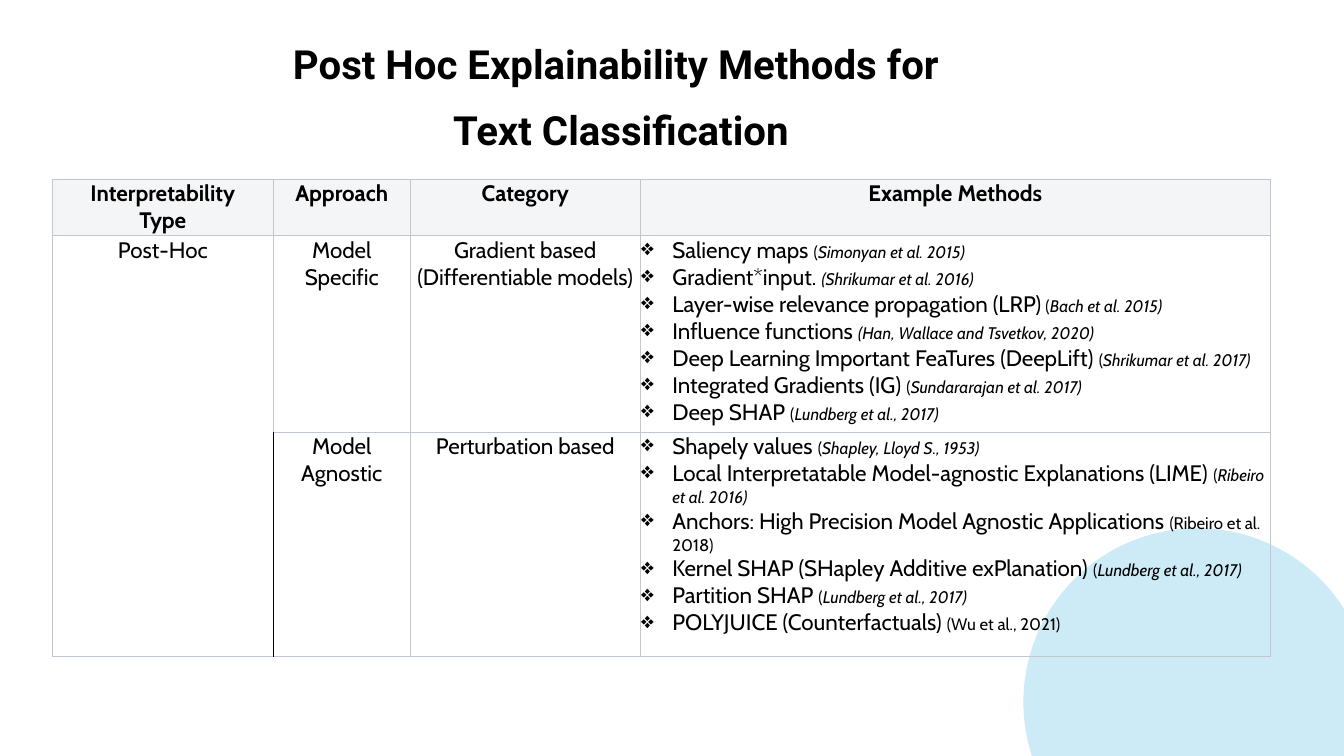
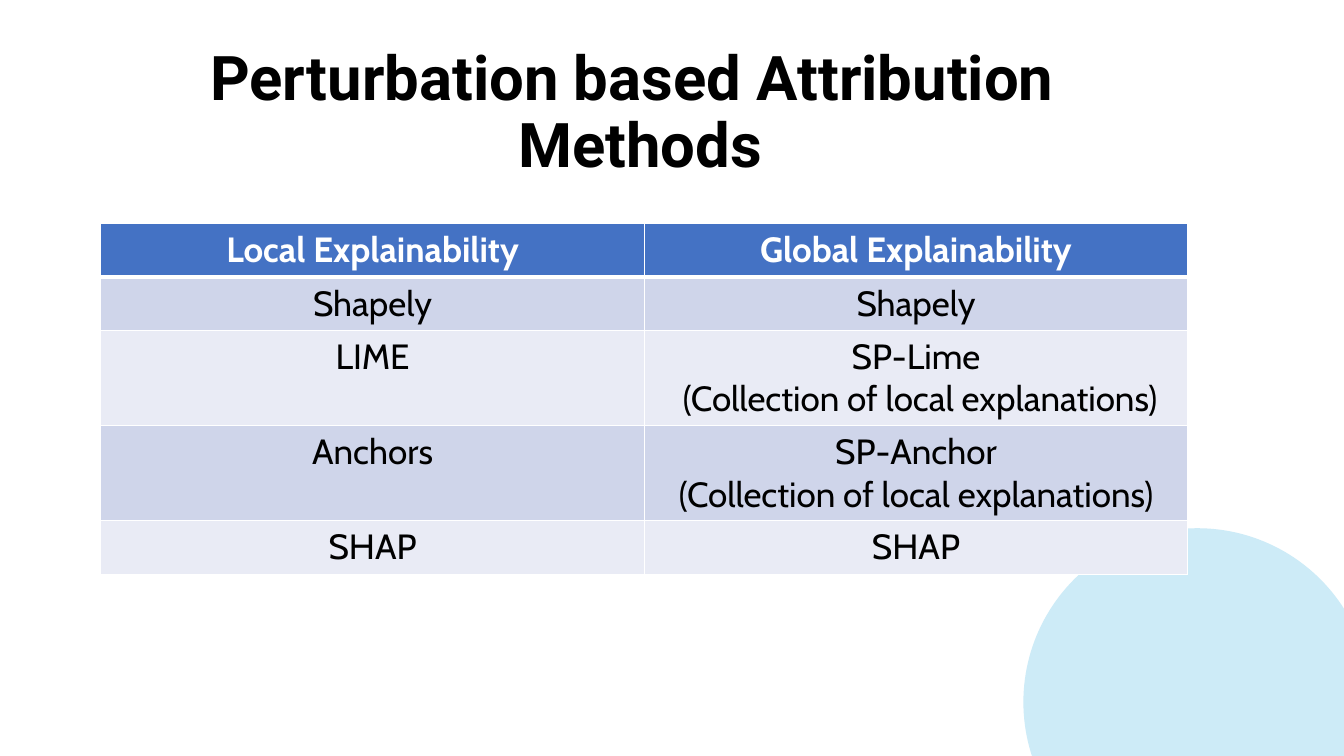
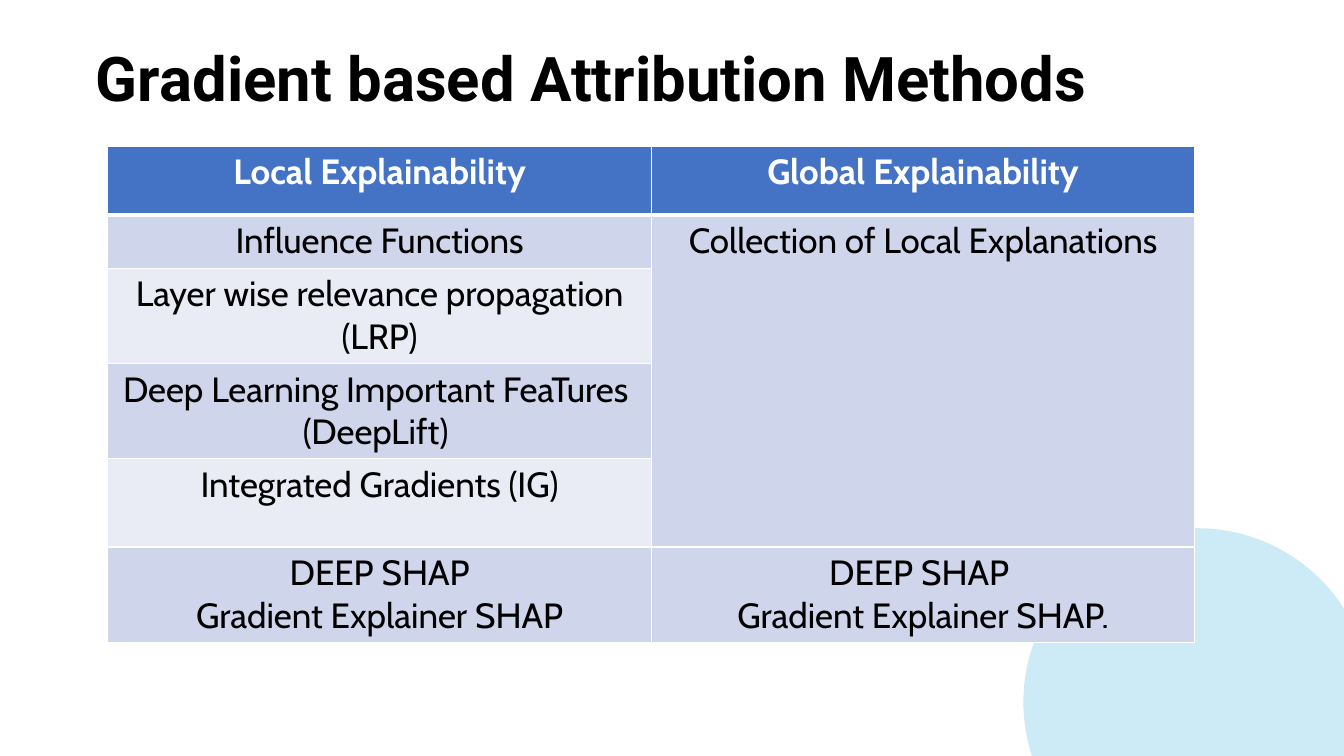
from dataclasses import dataclass

from lxml.etree import SubElement
from pptx import Presentation
from pptx.dml.color import RGBColor
from pptx.enum.shapes import MSO_SHAPE
from pptx.enum.text import MSO_ANCHOR, MSO_AUTO_SIZE, PP_ALIGN
from pptx.oxml.ns import qn
from pptx.util import Inches, Pt

COLORS = {
    "text": "000000",
    "white": "FFFFFF",
    "circle": "CDEBF7",
    "grid": "C1C7D0",
    "grid_header": "F4F5F7",
    "header": "4472C4",
    "band_dark": "CFD5EA",
    "band_light": "E9EBF5",
}
TITLE_FONT = "Roboto"
BODY_FONT = "Cabin"
BULLET = "❖"


@dataclass(frozen=True)
class Area:
    left: float
    top: float
    width: float
    height: float


@dataclass(frozen=True)
class Method:
    name: str
    upright: str = ""
    italic: str = ""


@dataclass(frozen=True)
class Comparison:
    title: str
    title_area: Area
    left: float
    top: float
    heights: tuple[float, ...]
    rows: tuple[tuple[str, str], ...]
    merged_rows: tuple[int, int] | None = None


METHOD_HEADERS = ("Interpretability\nType", "Approach", "Category", "Example Methods")
APPROACHES = (
    (
        "Post-Hoc",
        "Model Specific",
        "Gradient based\n(Differentiable models)",
        (
            Method("Saliency maps ", "(", "Simonyan et al. 2015)"),
            Method("Gradient*input. ", italic="(Shrikumar et al. 2016)"),
            Method("Layer-wise relevance propagation (LRP)", " (", "Bach et al. 2015)"),
            Method("Influence functions ", italic="(Han, Wallace and Tsvetkov, 2020)"),
            Method("Deep Learning Important FeaTures (DeepLift) ", "(", "Shrikumar et al. 2017)"),
            Method("Integrated Gradients (IG) ", "(", "Sundararajan et al. 2017)"),
            Method("Deep SHAP ", "(", "Lundberg et al., 2017)"),
        ),
    ),
    (
        "",
        "Model Agnostic",
        "Perturbation based",
        (
            Method("Shapely values ", "(", "Shapley, Lloyd S., 1953)"),
            Method("Local Interpretatable Model-agnostic Explanations (LIME) ", "(", "Ribeiro et al. 2016)"),
            Method("Anchors: High Precision Model Agnostic Applications ", "(Ribeiro et al. 2018)"),
            Method("Kernel SHAP (SHapley Additive exPlanation) ", "(", "Lundberg et al., 2017)"),
            Method("Partition SHAP ", "(", "Lundberg et al., 2017)"),
            Method("POLYJUICE (Counterfactuals) ", "(Wu et al., 2021)"),
        ),
    ),
)
COMPARISON_HEADERS = ("Local Explainability", "Global Explainability")
COMPARISONS = (
    Comparison(
        "Perturbation based Attribution \vMethods",
        Area(0.6, 0.42, 11.5, 1.4),
        1,
        2.22,
        (0.53, 0.53, 0.94, 0.94, 0.53),
        (
            ("Shapely", "Shapely"),
            ("LIME", "SP-Lime\n (Collection of local explanations)"),
            ("Anchors", "SP-Anchor\n(Collection of local explanations)"),
            ("SHAP", "SHAP"),
        ),
    ),
    Comparison(
        "Gradient based Attribution Methods",
        Area(0.6, 0.43, 10.54, 0.86),
        1.07,
        1.45,
        (0.68, 0.53, 0.94, 0.94, 0.88, 0.94),
        (
            ("Influence Functions", "Collection of Local Explanations"),
            ("Layer wise relevance propagation\n(LRP)", ""),
            ("Deep Learning Important FeaTures \n(DeepLift) ", ""),
            ("Integrated Gradients (IG)", ""),
            ("DEEP SHAP\nGradient Explainer SHAP", "DEEP SHAP \nGradient Explainer SHAP."),
        ),
        merged_rows=(1, 4),
    ),
)


def rgb(name: str) -> RGBColor:
    return RGBColor.from_string(COLORS[name])


def style_span(span, font: str, size: float, color: str = "text", bold: bool = False, italic: bool = False) -> None:
    span.font.name = font
    span.font.size = Pt(size)
    span.font.bold = bold
    span.font.italic = italic
    span.font.color.rgb = rgb(color)


def add_circle_to_layout(page, layout) -> None:
    circle = page.shapes.add_shape(MSO_SHAPE.OVAL, Inches(10.15), Inches(5.24), Inches(3.45), Inches(3.45))
    circle.shadow.inherit = False
    circle.fill.solid()
    circle.fill.fore_color.rgb = rgb("circle")
    circle.line.fill.background()
    layout.element.cSld.spTree.append(circle.element)


def set_title(page, text: str, area: Area, size: float, spacing: float, anchor=MSO_ANCHOR.TOP) -> None:
    title = page.shapes.title
    title.left, title.top = Inches(area.left), Inches(area.top)
    title.width, title.height = Inches(area.width), Inches(area.height)
    frame = title.text_frame
    frame.text = text
    frame.word_wrap = True
    frame.auto_size = MSO_AUTO_SIZE.NONE
    frame.vertical_anchor = anchor
    for para in frame.paragraphs:
        para.alignment = PP_ALIGN.CENTER
        para.line_spacing = spacing
        para.space_before = Pt(0)
        for span in para.runs:
            style_span(span, TITLE_FONT, size, bold=True)


def add_grid(page, left: float, top: float, widths: tuple[float, ...], heights: tuple[float, ...]):
    frame = page.shapes.add_table(
        len(heights), len(widths), Inches(left), Inches(top), Inches(sum(widths)), Inches(sum(heights))
    )
    table = frame.table
    table.first_row = False
    table.horz_banding = False
    for column, width in zip(table.columns, widths):
        column.width = Inches(width)
    for row, height in zip(table.rows, heights):
        row.height = Inches(height)
    return table


def set_borders(cell, **sides: tuple[str, float]) -> None:
    properties = cell._tc.get_or_add_tcPr()
    for side in "LRTB":
        color, width = sides[side]
        line = SubElement(properties, qn(f"a:ln{side}"), w=str(Pt(width)))
        fill = SubElement(line, qn("a:solidFill"))
        SubElement(fill, qn("a:srgbClr"), val=COLORS[color])


def set_fill(cell, color: str | None) -> None:
    if color is None:
        cell.fill.background()
    else:
        cell.fill.solid()
        cell.fill.fore_color.rgb = rgb(color)


def write_cell(cell, text: str, size: float, color: str = "text", bold: bool = False) -> None:
    cell.text_frame.text = text
    for para in cell.text_frame.paragraphs:
        para.alignment = PP_ALIGN.CENTER
        for span in para.runs:
            style_span(span, BODY_FONT, size, color, bold)


def write_methods(cell, methods: tuple[Method, ...]) -> None:
    frame = cell.text_frame
    for index, method in enumerate(methods):
        para = frame.paragraphs[0] if index == 0 else frame.add_paragraph()
        properties = para._p.get_or_add_pPr()
        properties.set("marL", str(Inches(0.31)))
        properties.set("indent", str(-Inches(0.31)))
        SubElement(properties, qn("a:buChar"), char=BULLET)
        for text, size, italic in ((method.name, 16, False), (method.upright, 12, False), (method.italic, 12, True)):
            if text:
                span = para.add_run()
                span.text = text
                style_span(span, BODY_FONT, size, italic=italic)


def build_methods_page(page) -> None:
    set_title(
        page,
        "Post Hoc Explainability Methods for \nText Classification",
        Area(0.62, 0.44, 11.08, 1.15),
        28.7,
        0.7,
        MSO_ANCHOR.MIDDLE,
    )
    page.shapes.title.text_frame.paragraphs[0].space_after = Pt(23.5)
    table = add_grid(page, 0.52, 1.78, (2.19, 1.36, 2.28, 6.25), (0.55, 1.95, 2.23))
    table.cell(1, 0).merge(table.cell(2, 0))
    grid, divider = ("grid", 0.75), ("text", 0.75)
    for row, values in enumerate((METHOD_HEADERS, *APPROACHES)):
        for column, value in enumerate(values):
            cell = table.cell(row, column)
            cell.margin_left = cell.margin_right = Inches(0.01)
            cell.margin_top = cell.margin_bottom = Inches(0.01)
            set_borders(
                cell,
                L=divider if (row, column) == (2, 1) else grid,
                R=divider if (row, column) == (2, 0) else grid,
                T=grid,
                B=grid,
            )
            set_fill(cell, "grid_header" if row == 0 else None)
            if isinstance(value, tuple):
                write_methods(cell, value)
            elif value:
                write_cell(cell, value, 16, bold=row == 0)


def build_comparison_page(page, comparison: Comparison) -> None:
    set_title(page, comparison.title, comparison.title_area, 44, 0.9)
    table = add_grid(page, comparison.left, comparison.top, (5.39, 5.39), comparison.heights)
    if comparison.merged_rows:
        first, last = comparison.merged_rows
        table.cell(first, 1).merge(table.cell(last, 1))
    thin, thick = ("white", 1), ("white", 3)
    for row, values in enumerate((COMPARISON_HEADERS, *comparison.rows)):
        header = row == 0
        band = "header" if header else ("band_light", "band_dark")[row % 2]
        for column, value in enumerate(values):
            cell = table.cell(row, column)
            set_borders(cell, L=thin, R=thin, T=thick if row == 1 else thin, B=thick if header else thin)
            set_fill(cell, band)
            if value:
                write_cell(cell, value, 25, "white" if header else "text", header)


def main() -> None:
    deck = Presentation()
    deck.slide_width, deck.slide_height = Inches(13.33), Inches(7.5)
    layout = deck.slide_layouts[5]
    methods_page = deck.slides.add_slide(layout)
    add_circle_to_layout(methods_page, layout)
    build_methods_page(methods_page)
    for comparison in COMPARISONS:
        build_comparison_page(deck.slides.add_slide(layout), comparison)
    deck.save("out.pptx")


if __name__ == "__main__":
    main()
